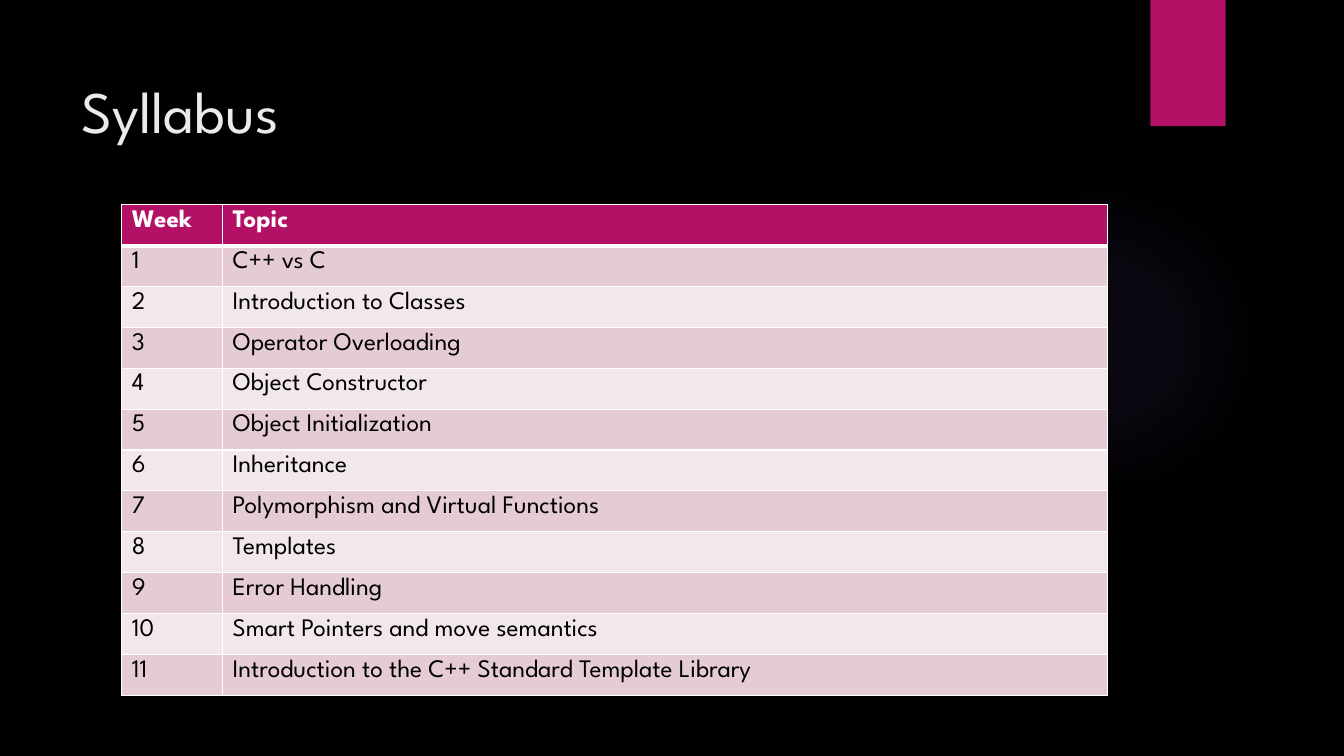
"""Build the course syllabus slide with its weekly topic table."""
from lxml.etree import SubElement
from pptx import Presentation
from pptx.dml.color import RGBColor
from pptx.enum.shapes import MSO_SHAPE
from pptx.enum.text import MSO_ANCHOR, PP_ALIGN
from pptx.oxml import parse_xml
from pptx.oxml.ns import nsdecls, qn
from pptx.util import Cm, Pt

TITLE = "Syllabus"
HEADER = ("Week", "Topic")
TOPICS = [
    "C++ vs C",
    "Introduction to Classes",
    "Operator Overloading",
    "Object Constructor",
    "Object Initialization",
    "Inheritance",
    "Polymorphism and Virtual Functions",
    "Templates",
    "Error Handling",
    "Smart Pointers and move semantics",
    "Introduction to the C++ Standard Template Library",
]
FONT = "League Spartan"
COLORS = {
    "background": "000000",
    "accent": "B31166",
    "glow": "9B6BF2",
    "title": "EBEBEB",
    "white": "FFFFFF",
    "text": "000000",
    "odd": "E5CCD3",
    "even": "F2E7EA",
}
GLOW_STOPS = [(0, 7), (36, 6), (69, 0)]
COL_WIDTHS = (2.54, 22.3)
ROW_HEIGHT = 1.03


def rgb(name):
    return RGBColor.from_string(COLORS[name])


def add_decor(slide, kind, left, top, width, height):
    sp = slide.shapes.add_shape(kind, Cm(left), Cm(top), Cm(width), Cm(height))
    sp.shadow.inherit = False
    sp.line.fill.background()
    return sp


def fill_glow(sp):
    stops = "".join(
        f'<a:gs pos="{pos * 1000}"><a:srgbClr val="{COLORS["glow"]}">'
        f'<a:alpha val="{alpha * 1000}"/></a:srgbClr></a:gs>'
        for pos, alpha in GLOW_STOPS
    )
    grad = parse_xml(
        f'<a:gradFill {nsdecls("a")}><a:gsLst>{stops}</a:gsLst><a:path path="circle">'
        '<a:fillToRect l="50000" t="50000" r="50000" b="50000"/></a:path></a:gradFill>'
    )
    sp.element.spPr.find(qn("a:prstGeom")).addnext(grad)


def add_borders(cell, **widths):
    tc_pr = cell._tc.get_or_add_tcPr()
    for side in "LRTB":
        ln = SubElement(tc_pr, qn(f"a:ln{side}"), w=str(Pt(widths.get(side, 1))))
        fill = SubElement(ln, qn("a:solidFill"))
        SubElement(fill, qn("a:srgbClr"), val=COLORS["white"])


def format_cell(cell, text, row):
    add_borders(cell, T=3 if row == 1 else 1, B=3 if row == 0 else 1)
    cell.fill.solid()
    cell.fill.fore_color.rgb = rgb("accent" if row == 0 else "odd" if row % 2 else "even")
    cell.text = text
    p = cell.text_frame.paragraphs[0]
    p.font.name, p.font.size, p.font.bold = FONT, Pt(18), row == 0
    p.font.color.rgb = rgb("text" if row else "white")


prs = Presentation()
prs.slide_width, prs.slide_height = Cm(33.87), Cm(19.05)
s = prs.slides.add_slide(prs.slide_layouts[5])
s.background.fill.solid()
s.background.fill.fore_color.rgb = rgb("background")

fill_glow(add_decor(s, MSO_SHAPE.OVAL, 23.9, 4.65, 7.82, 7.82))
bar = add_decor(s, MSO_SHAPE.RECTANGLE, 28.99, 0, 1.9, 3.18)
bar.fill.solid()
bar.fill.fore_color.rgb = rgb("accent")

title = s.shapes.title
title.left, title.top, title.width, title.height = Cm(1.8), Cm(1.27), Cm(26.14), Cm(3.89)
tf = title.text_frame
tf.text = TITLE
tf.vertical_anchor = MSO_ANCHOR.TOP
tf.margin_top = Cm(0.6)
p = tf.paragraphs[0]
p.alignment = PP_ALIGN.LEFT
p.font.name, p.font.size = FONT, Pt(42)
p.font.color.rgb = rgb("title")

rows = [HEADER] + [(str(week), topic) for week, topic in enumerate(TOPICS, 1)]
table = s.shapes.add_table(
    len(rows), len(HEADER), Cm(3.07), Cm(5.16), Cm(sum(COL_WIDTHS)), Cm(ROW_HEIGHT * len(rows))
).table
for col, width in zip(table.columns, COL_WIDTHS):
    col.width = Cm(width)
for i, row in enumerate(rows):
    table.rows[i].height = Cm(ROW_HEIGHT)
    for j, text in enumerate(row):
        format_cell(table.cell(i, j), text, i)

prs.save("out.pptx")
